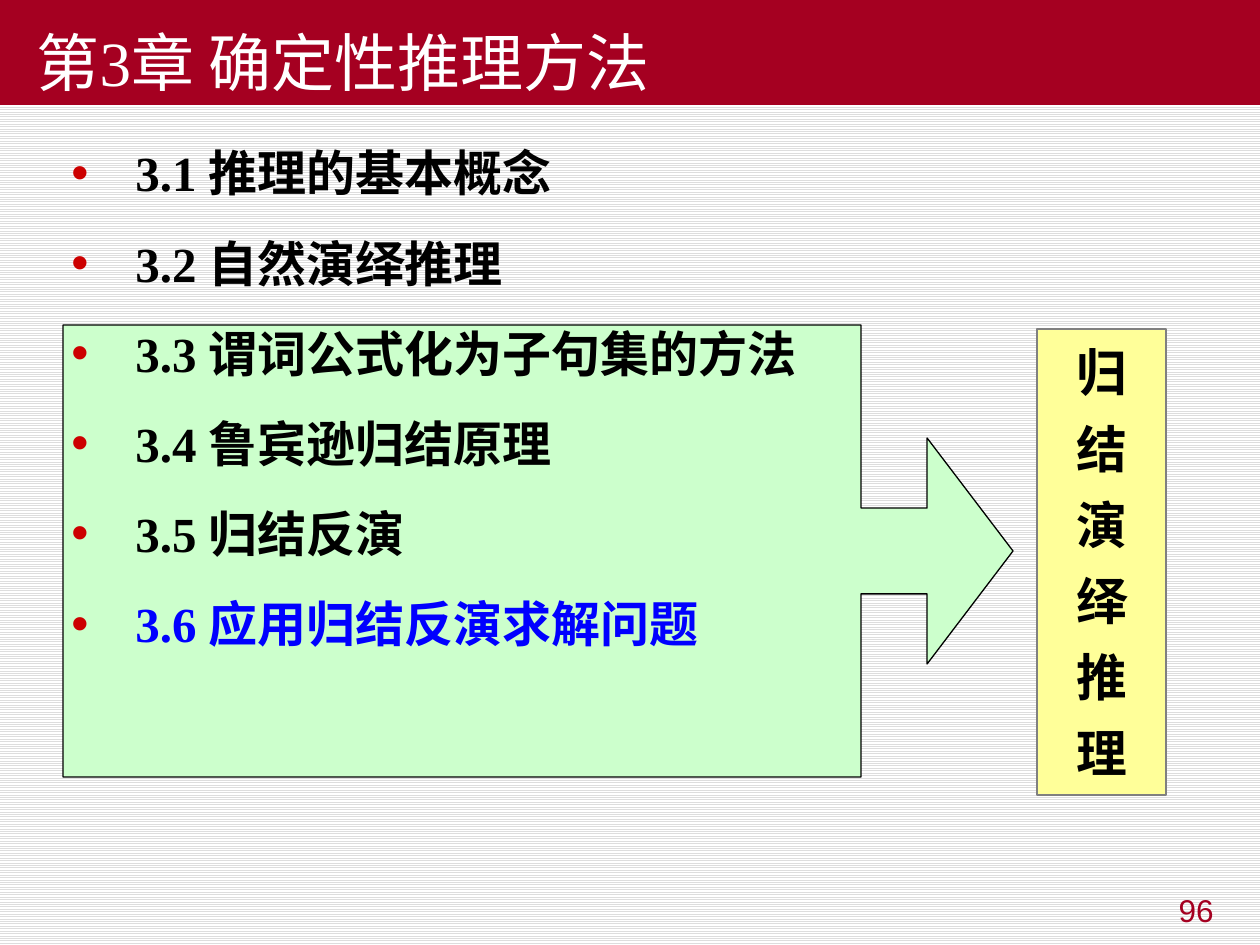
from lxml.etree import SubElement as Sub
from pptx import Presentation
from pptx.dml.color import RGBColor
from pptx.enum.dml import MSO_PATTERN
from pptx.enum.shapes import MSO_SHAPE
from pptx.enum.text import MSO_ANCHOR, MSO_AUTO_SIZE, PP_ALIGN
from pptx.oxml.ns import qn
from pptx.util import Pt

PX = 914400 / 126
TOPICS = [
    "3.1 推理的基本概念",
    "3.2 自然演绎推理",
    "3.3 谓词公式化为子句集的方法",
    "3.4 鲁宾逊归结原理",
    "3.5 归结反演",
    "3.6 应用归结反演求解问题",
]


def px(*nums):
    """Turn pixel lengths into EMU."""
    return [round(num * PX) for num in nums]


def rgb(code):
    """Turn a hex string into a colour."""
    return RGBColor.from_string(code)


def style(para, size, face, color, bold=False):
    """Set the font of a paragraph."""
    font = para.font
    font.size, font.name, font.bold = Pt(size), face, bold
    font.color.rgb = rgb(color)


def space(para, share):
    """Set the space before as a percentage of the line."""
    gap = Sub(para._p.get_or_add_pPr(), qn("a:spcBef"))
    Sub(gap, qn("a:spcPct"), val=str(share * 1000))


def bullet(para, color, hang):
    """Give a paragraph a coloured hanging bullet."""
    props = para._p.get_or_add_pPr()
    depth = px(hang)[0]
    props.set("marL", str(depth))
    props.set("indent", str(-depth))
    Sub(Sub(props, qn("a:buClr")), qn("a:srgbClr"), val=color)
    Sub(props, qn("a:buFont"), typeface="Arial")
    Sub(props, qn("a:buChar"), char="•")


def lines(frame, texts):
    """Fill a frame with one paragraph per text and yield each."""
    for num, text in enumerate(texts):
        para = frame.add_paragraph() if num else frame.paragraphs[0]
        para.text = text
        yield num, para


def block(slide, kind, box, fill, edge):
    """Add a filled and outlined shape."""
    shape = slide.shapes.add_shape(kind, *px(*box))
    shape.shadow.inherit = False
    shape.fill.solid()
    shape.fill.fore_color.rgb = rgb(fill)
    shape.line.color.rgb = rgb(edge)
    shape.line.width = Pt(0.75)
    return shape


def header(slide, box, text):
    """Place the title band."""
    title = slide.shapes.title
    title.left, title.top, title.width, title.height = px(*box)
    title.fill.solid()
    title.fill.fore_color.rgb = rgb("A50021")
    frame = title.text_frame
    frame.text = text
    frame.auto_size = MSO_AUTO_SIZE.NONE
    frame.vertical_anchor = MSO_ANCHOR.BOTTOM
    para = frame.paragraphs[0]
    para.alignment = PP_ALIGN.LEFT
    para._p.get_or_add_pPr().set("indent", str(px(24)[0]))
    style(para, 36, "Times New Roman", "FFFFFF")


def group(slide, box, word):
    """Place the arrow callout and the upright label it points to."""
    left, top, width, height = box
    arrow = block(slide, MSO_SHAPE.RIGHT_ARROW_CALLOUT,
                  (left, top, width - 153, height - 18), "CCFFCC", "000000")
    for num, ratio in enumerate((0.19, 0.25, 0.19, 0.84)):
        arrow.adjustments[num] = ratio
    label = block(slide, MSO_SHAPE.RECTANGLE,
                  (left + width - 129, top + 4, 129, height - 4),
                  "FFFF99", "808080")
    frame = label.text_frame
    frame.vertical_anchor = MSO_ANCHOR.MIDDLE
    for num, para in lines(frame, word):
        if num:
            space(para, 30)
        para.alignment = PP_ALIGN.CENTER
        style(para, 29, "Arial", "000000", True)


def topics(slide, box, texts):
    """Place the bulleted list with its last topic in blue."""
    frame = slide.shapes.add_textbox(*px(*box)).text_frame
    frame.word_wrap = True
    for num, para in lines(frame, texts):
        if num:
            space(para, 40)
        bullet(para, "CC0000", 64)
        para.line_spacing = 1.2
        color = "0000FF" if num == len(texts) - 1 else "000000"
        style(para, 28, "Times New Roman", color, True)


def number(slide, box, text):
    """Place the page number."""
    frame = slide.shapes.add_textbox(*px(*box)).text_frame
    frame.word_wrap = True
    para = frame.paragraphs[0]
    para.text = text
    para.alignment = PP_ALIGN.RIGHT
    style(para, 18, "Arial", "A50021")


def main():
    """Build the slide and save it."""
    deck = Presentation()
    deck.slide_width, deck.slide_height = px(1260, 945)
    slide = deck.slides.add_slide(deck.slide_layouts[5])
    back = slide.background.fill
    back.patterned()
    back.pattern = MSO_PATTERN.LIGHT_HORIZONTAL
    back.fore_color.rgb = rgb("DDDDDD")
    back.back_color.rgb = rgb("FFFFFF")
    header(slide, (0, 0, 1260, 105), "第3章 确定性推理方法")
    number(slide, (932, 885, 294, 66), "96")
    group(slide, (63, 325, 1103, 470), "归结演绎推理")
    topics(slide, (59, 125, 1191, 745), TOPICS)
    deck.save("out.pptx")


if __name__ == "__main__":
    main()
